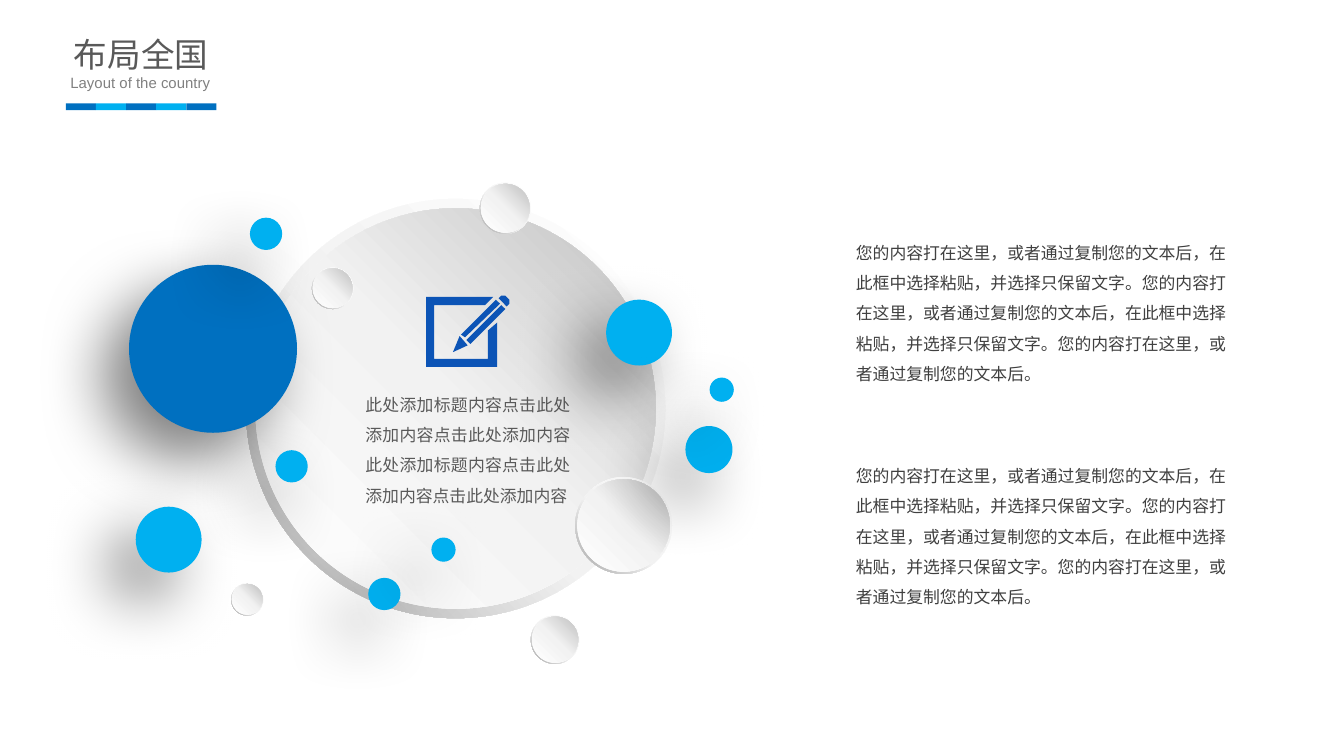
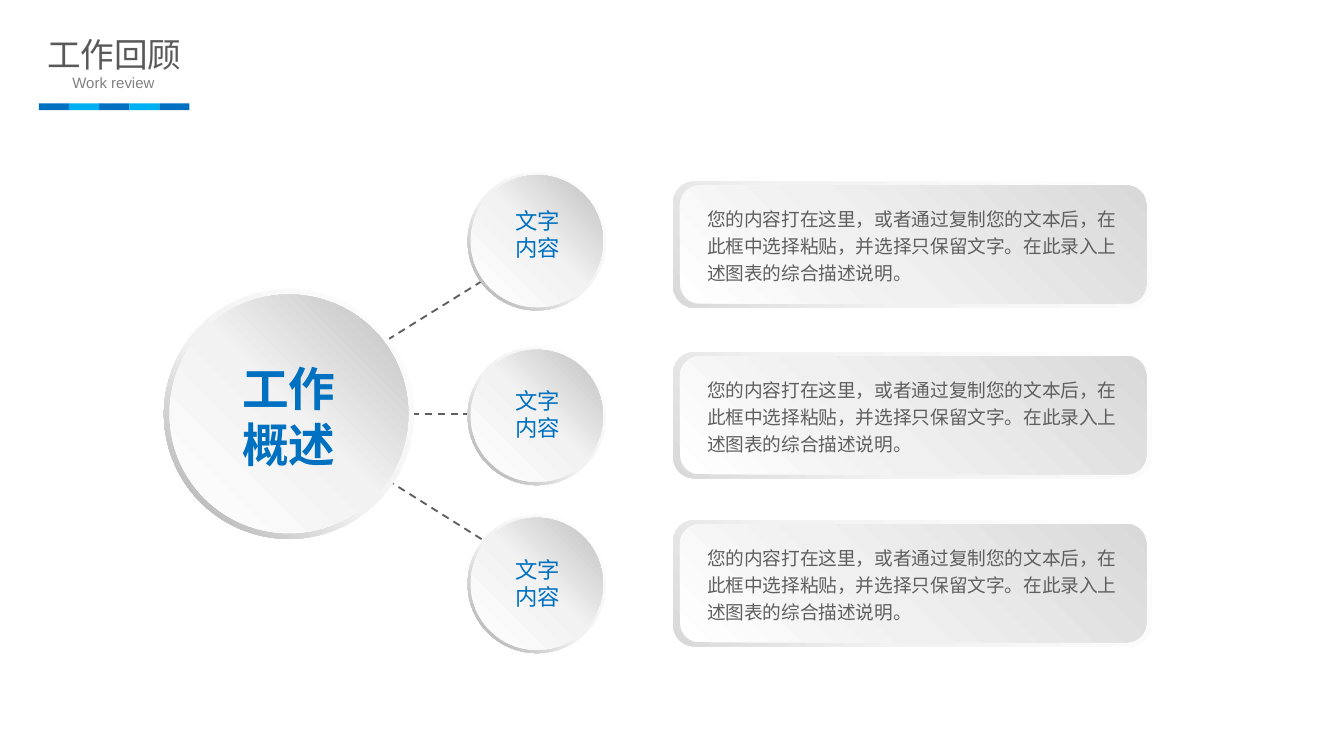
from lxml.etree import SubElement
from pptx import Presentation
from pptx.dml.color import RGBColor
from pptx.enum.dml import MSO_LINE
from pptx.enum.shapes import MSO_CONNECTOR, MSO_SHAPE
from pptx.enum.text import MSO_ANCHOR, MSO_AUTO_SIZE, PP_ALIGN
from pptx.oxml.ns import qn
from pptx.util import Inches, Pt

FONT = "Arial"
COLORS = {
    "blue": "0070C0", "cyan": "00B0F0", "icon": "0C54B6", "shadow": "000000",
    "title": "595959", "subtitle": "808080", "body": "404040", "gray": "5F5F5F",
}
# Gradients: (stops as percent and colour, clockwise angle)
RIM = ([(0, "FFFFFF"), (55, "F2F2F2"), (100, "A6A6A6")], 135)
FACE = ([(0, "FFFFFF"), (51, "F2F2F2"), (100, "BFBFBF")], 315)
PANEL_RIM = ([(0, "FFFFFF"), (62, "F2F2F2"), (100, "D9D9D9")], 135)
PANEL_FACE = ([(0, "FFFFFF"), (42, "F0F0F0"), (100, "D9D9D9")], 315)
RIM_SHARE = 0.0225
RULE_WIDTH = 1.12
RULE_COLORS = ["blue", "cyan", "blue", "cyan", "blue"]

# Layout slide
PASTE_HINT = "您的内容打在这里，或者通过复制您的文本后，在此框中选择粘贴，并选择只保留文字。"
BODY_TEXT = PASTE_HINT * 2 + "您的内容打在这里，或者通过复制您的文本后。"
BODY_TOPS = [1.68, 3.34]
DISC_TEXT = "此处添加标题内容点击此处添加内容点击此处添加内容" * 2
DISCS = [  # left, top, diameter
    (1.83, 1.48, 3.12), (4.28, 3.55, 0.72), (2.32, 1.99, 0.31),
    (3.95, 4.58, 0.36), (3.57, 1.36, 0.38), (1.72, 4.34, 0.24),
]
DOTS = [  # left, top, diameter, colour
    (0.96, 1.97, 1.25, "blue"), (1.01, 3.77, 0.49, "cyan"),
    (2.05, 3.35, 0.24, "cyan"), (1.86, 1.62, 0.24, "cyan"),
    (2.74, 4.3, 0.24, "cyan"), (3.21, 4, 0.18, "cyan"),
    (4.51, 2.23, 0.49, "cyan"), (5.1, 3.17, 0.35, "cyan"),
    (5.28, 2.81, 0.18, "cyan"),
]
PENCIL_OUTLINES = [  # hundredths of an inch
    [(348, 257), (342, 250), (337, 262)],
    [(369, 223), (343, 249), (346, 251), (372, 226)],
    [(347, 253), (350, 256), (376, 230), (373, 227)],
    [(371, 222), (373, 220), (376, 220), (379, 223), (379, 226), (377, 228)],
    [(363, 267), (323, 267), (323, 227), (361, 227), (367, 221), (317, 221),
     (317, 273), (370, 273), (370, 240), (363, 246)],
]

# Review slide
PANEL_TEXT = PASTE_HINT + "在此录入上述图表的综合描述说明。"
BRANCHES = [  # disc top, label top, panel top
    (1.28, 1.49, 1.35), (2.58, 2.83, 2.62), (3.83, 4.09, 3.87),
]
BRANCH_LABEL = ["文字", "内容"]
HUB_LABEL = ["工作", "概述"]
HUB = (1.22, 2.15, 1.86)
DASHES = [  # from x, y to x, y
    (2.72, 3.47, 3.82, 4.16), (2.87, 3.08, 3.72, 3.08), (2.72, 2.63, 3.75, 1.99),
]


def rgb(color):
    return RGBColor.from_string(COLORS[color])


def write(shape, lines, size, color, align=PP_ALIGN.LEFT, spacing=None, bold=False,
          wrap=True, insets=(0.1, 0.05), anchor=MSO_ANCHOR.TOP,
          fit=MSO_AUTO_SIZE.SHAPE_TO_FIT_TEXT):
    frame = shape.text_frame
    frame.text = "\n".join(lines)
    frame.word_wrap = wrap
    frame.auto_size = fit
    frame.vertical_anchor = anchor
    frame.margin_left = frame.margin_right = Inches(insets[0])
    frame.margin_top = frame.margin_bottom = Inches(insets[1])
    for paragraph in frame.paragraphs:
        paragraph.alignment = align
        if spacing:
            paragraph.line_spacing = spacing
        paragraph.font.name = FONT
        paragraph.font.size = Pt(size)
        paragraph.font.bold = bold
        paragraph.font.color.rgb = rgb(color)


def add_text(slide, box, lines, size, color, **options):
    shape = slide.shapes.add_textbox(*map(Inches, box))
    write(shape, lines, size, color, **options)


def add_plain_shape(slide, kind, box, color=None):
    shape = slide.shapes.add_shape(kind, *map(Inches, box))
    shape.shadow.inherit = False
    shape.line.fill.background()
    if color:
        shape.fill.solid()
        shape.fill.fore_color.rgb = rgb(color)
    else:
        shape.fill.background()
    return shape


def add_gradient_shape(slide, kind, box, gradient):
    shape = add_plain_shape(slide, kind, box)
    stops, angle = gradient
    fill = shape.element.spPr.find(qn("a:noFill"))
    fill.tag = qn("a:gradFill")
    fill.set("rotWithShape", "1")
    stop_list = SubElement(fill, qn("a:gsLst"))
    for position, color in stops:
        stop = SubElement(stop_list, qn("a:gs"), pos=str(position * 1000))
        SubElement(stop, qn("a:srgbClr"), val=color)
    SubElement(fill, qn("a:lin"), ang=str(angle * 60000), scaled="0")
    return shape


def inner_circle(left, top, size):
    rim = size * RIM_SHARE
    return left + rim, top + rim, size - 2 * rim, size - 2 * rim


def add_disc(slide, left, top, size):
    """Add a pale raised disc: a ring with a face inside it."""
    ring = add_gradient_shape(slide, MSO_SHAPE.DONUT, (left, top, size, size), RIM)
    ring.adjustments[0] = 0.049
    add_gradient_shape(slide, MSO_SHAPE.OVAL, inner_circle(left, top, size), FACE)


def add_dot(slide, left, top, size, color):
    """Add a coloured circle that casts a soft shadow to the lower left."""
    base = add_plain_shape(slide, MSO_SHAPE.OVAL, (left, top, size, size), color)
    effects = base.element.spPr.find(qn("a:effectLst"))
    shadow = SubElement(effects, qn("a:outerShdw"), blurRad=str(Pt(35)), dist=str(Pt(20)),
                        dir=str(135 * 60000), algn="tr", rotWithShape="0")
    shade = SubElement(shadow, qn("a:srgbClr"), val=COLORS["shadow"])
    SubElement(shade, qn("a:alpha"), val="50000")
    add_plain_shape(slide, MSO_SHAPE.OVAL, inner_circle(left, top, size), color)


def add_pencil_icon(slide):
    for first, *others in PENCIL_OUTLINES:
        builder = slide.shapes.build_freeform(*first, scale=Inches(0.01))
        builder.add_line_segments(others)
        part = builder.convert_to_shape()
        part.shadow.inherit = False
        part.fill.solid()
        part.fill.fore_color.rgb = rgb("icon")
        part.line.fill.background()


def add_dash(slide, x1, y1, x2, y2):
    line = slide.shapes.add_connector(MSO_CONNECTOR.STRAIGHT, *map(Inches, (x1, y1, x2, y2)))
    line.line.color.rgb = rgb("gray")
    line.line.width = Pt(1)
    line.line.dash_style = MSO_LINE.DASH
    SubElement(line.element.spPr, qn("a:effectLst"))


def add_panel(slide, top):
    add_gradient_shape(slide, MSO_SHAPE.ROUNDED_RECTANGLE, (5.01, top, 3.56, 0.94), PANEL_RIM)
    add_gradient_shape(slide, MSO_SHAPE.ROUNDED_RECTANGLE, (5.06, top + 0.03, 3.47, 0.88),
                       PANEL_FACE)
    holder = add_plain_shape(slide, MSO_SHAPE.ROUNDED_RECTANGLE, (5.16, top - 0.02, 3.37, 0.97))
    holder.adjustments[0] = 0.115
    write(holder, [PANEL_TEXT], 10, "gray", spacing=1.2, insets=(0.07, 0.04),
          anchor=MSO_ANCHOR.MIDDLE, fit=MSO_AUTO_SIZE.NONE)


def add_headed_slide(presentation, title, subtitle, center):
    """Add a slide with its title, subtitle and striped rule centred on one x."""
    slide = presentation.slides.add_slide(presentation.slide_layouts[5])
    heading = slide.shapes.title
    heading.left, heading.top = Inches(center - 0.58), Inches(0.21)
    heading.width, heading.height = Inches(1.16), Inches(0.38)
    write(heading, [title], 18, "title", align=PP_ALIGN.CENTER, wrap=False, insets=(0.07, 0.04))
    add_text(slide, (center - 0.97, 0.5, 1.93, 0.24), [subtitle], 8, "subtitle",
             align=PP_ALIGN.CENTER)
    stripe = RULE_WIDTH / len(RULE_COLORS)
    for index, color in enumerate(RULE_COLORS):
        left = center - RULE_WIDTH / 2 + index * stripe
        add_plain_shape(slide, MSO_SHAPE.RECTANGLE, (left, 0.77, stripe, 0.05), color)
    return slide


def build_layout_slide(presentation):
    slide = add_headed_slide(presentation, "布局全国", "Layout of the country", 1.05)
    for top in BODY_TOPS:
        add_text(slide, (6.27, top, 2.95, 1.24), [BODY_TEXT], 9, "body", spacing=1.5)
    for disc in DISCS:
        add_disc(slide, *disc)
    add_pencil_icon(slide)
    add_text(slide, (2.62, 2.81, 1.72, 1.01), [DISC_TEXT], 9, "title",
             align=PP_ALIGN.JUSTIFY, spacing=1.5)
    for dot in DOTS:
        add_dot(slide, *dot)


def build_review_slide(presentation):
    slide = add_headed_slide(presentation, "工作回顾", "Work review", 0.85)
    for dash in DASHES:
        add_dash(slide, *dash)
    add_disc(slide, *HUB)
    add_text(slide, (1.7, 2.63, 0.9, 0.94), HUB_LABEL, 25, "blue",
             align=PP_ALIGN.CENTER, bold=True, wrap=False)
    for disc_top, label_top, panel_top in BRANCHES:
        add_disc(slide, 3.48, disc_top, 1.03)
        add_text(slide, (3.73, label_top, 0.54, 0.5), BRANCH_LABEL, 12, "blue",
                 align=PP_ALIGN.CENTER, wrap=False)
        add_panel(slide, panel_top)


def main():
    presentation = Presentation()
    presentation.slide_width = Inches(10)
    presentation.slide_height = presentation.slide_width * 9 // 16
    build_layout_slide(presentation)
    build_review_slide(presentation)
    presentation.save("out.pptx")


if __name__ == "__main__":
    main()
